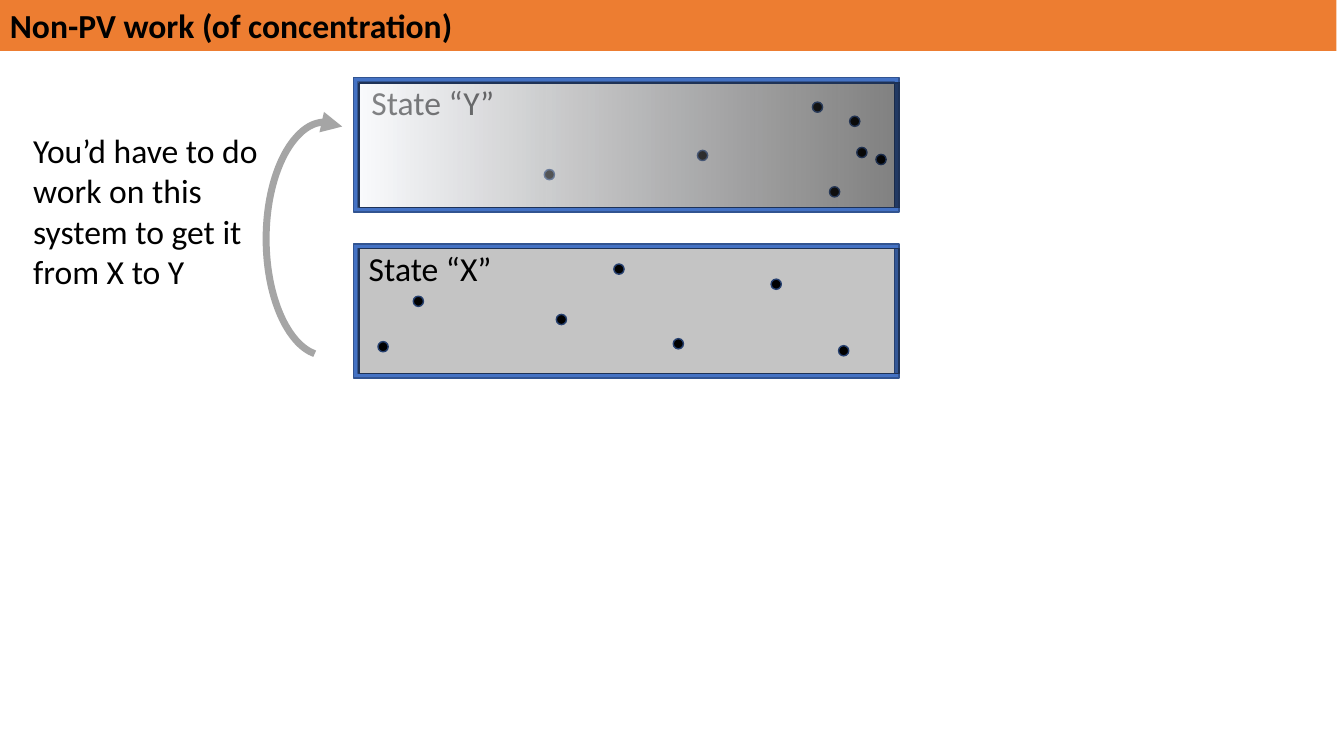
from lxml.etree import SubElement
from pptx import Presentation
from pptx.dml.color import RGBColor
from pptx.enum.shapes import MSO_SHAPE
from pptx.enum.text import MSO_ANCHOR, PP_ALIGN
from pptx.oxml.ns import qn
from pptx.util import Pt

ORANGE = RGBColor(0xED, 0x7D, 0x31)
BLUE = RGBColor(0x44, 0x72, 0xC4)
BLUE_EDGE = RGBColor(0x32, 0x54, 0x91)
NAVY_EDGE = RGBColor(0x1E, 0x32, 0x56)
PALE = RGBColor(0xF6, 0xF8, 0xFC)
GREY = RGBColor(0xA5, 0xA5, 0xA5)
BLACK = RGBColor(0, 0, 0)

TEXT_FORMAT = {"name": "Calibri", "size": Pt(24), "bold": False}
TITLE_FORMAT = {**TEXT_FORMAT, "bold": True}

CHAMBER_SIZE = (389.5, 95.8)
GAS_SIZE = (386, 89.3)
PARTICLE = 7.3
PARTICLES_Y = [(327.6, 17.3), (245.5, 51.8), (354.2, 27.4), (373, 54.7),
               (136.1, 65.5), (339.8, 77.8), (359.3, 49.7)]
PARTICLES_X = [(42.5, 37.4), (298.1, 25.2), (228.2, 67.7), (144.7, 50.4),
               (185.8, 14.4), (346.3, 72.7), (17.3, 69.8)]


def write(shape, text, text_format):
    frame = shape.text_frame
    frame.word_wrap = True
    paragraph = frame.paragraphs[0]
    paragraph.alignment = PP_ALIGN.LEFT
    run = paragraph.add_run()
    run.text = text
    for attribute, value in text_format.items():
        setattr(run.font, attribute, value)
    run.font.color.rgb = BLACK


def add_label(slide, box, text):
    label = slide.shapes.add_textbox(*map(Pt, box))
    write(label, text, TEXT_FORMAT)


def add_preset(slide, preset, box, fill=None, edge=None, edge_width=1):
    """Add a preset shape; without a fill or edge colour that part is clear."""
    shape = slide.shapes.add_shape(preset, *map(Pt, box))
    shape.shadow.inherit = False
    if fill is None:
        shape.fill.background()
    else:
        shape.fill.solid()
        shape.fill.fore_color.rgb = fill
    if edge is None:
        shape.line.fill.background()
    else:
        shape.line.color.rgb = edge
        shape.line.width = Pt(edge_width)
    return shape


def set_opacity(shape, percents):
    """Give each fill colour of the shape, in order, its opacity."""
    properties = shape._element.spPr
    fill = properties.find(qn("a:gradFill"))
    if fill is None:
        fill = properties.find(qn("a:solidFill"))
    for colour, percent in zip(fill.iter(qn("a:srgbClr")), percents):
        SubElement(colour, qn("a:alpha"), val=str(percent * 1000))


def add_title(slide, box):
    band = add_preset(slide, MSO_SHAPE.RECTANGLE, box, ORANGE)
    band.text_frame.vertical_anchor = MSO_ANCHOR.MIDDLE
    write(band, "Non-PV work (of concentration)", TITLE_FORMAT)


def add_chamber(slide, left, top, particles, name, label_indent):
    wall = add_preset(slide, MSO_SHAPE.FRAME, (left, top, *CHAMBER_SIZE), BLUE, BLUE_EDGE)
    wall.adjustments[0] = 0.033
    for x, y in particles:
        add_preset(slide, MSO_SHAPE.OVAL, (left + x, top + y, PARTICLE, PARTICLE),
                   BLACK, BLUE_EDGE)
    add_label(slide, (left + label_indent, top - 0.7, 185.8, 36), name)


def add_gas(slide, left, top):
    return add_preset(slide, MSO_SHAPE.RECTANGLE, (left, top, *GAS_SIZE), BLACK, NAVY_EDGE)


def add_graded_gas(slide, left, top):
    gas = add_gas(slide, left, top)
    gas.fill.gradient()
    gas.fill.gradient_angle = 0
    for stop, colour, position in zip(gas.fill.gradient_stops, (PALE, BLACK), (0, 1)):
        stop.color.rgb = colour
        stop.position = position
    set_opacity(gas, (55, 50))


def add_even_gas(slide, left, top):
    set_opacity(add_gas(slide, left, top), (23,))


def add_work_arrow(slide, box):
    arrow = add_preset(slide, MSO_SHAPE.ARC, box, edge=GREY, edge_width=5)
    arrow.rotation = 180
    arrow.adjustments[0] = 165.263
    arrow.adjustments[1] = 59.03
    SubElement(arrow.line._get_or_add_ln(), qn("a:tailEnd"), type="triangle")


def main():
    presentation = Presentation()
    presentation.slide_width = Pt(960)
    presentation.slide_height = Pt(540)
    slide = presentation.slides.add_slide(presentation.slide_layouts[6])

    add_title(slide, (0, 0, 954.7, 36.3))
    add_label(slide, (16.6, 89.3, 178.6, 123.8),
              "You’d have to do work on this system to get it from X to Y")
    left, top_y, top_x = 252.7, 55.6, 174.2
    add_chamber(slide, left, top_x, PARTICLES_X, "State “X”", 3.6)
    add_chamber(slide, left, top_y, PARTICLES_Y, "State “Y”", 5.5)
    add_work_arrow(slide, (190.1, 87.1, 85, 167))
    add_graded_gas(slide, left + 3.6, top_y + 3.6)
    add_even_gas(slide, left + 3.6, top_x + 3.4)

    presentation.save("out.pptx")


if __name__ == "__main__":
    main()
